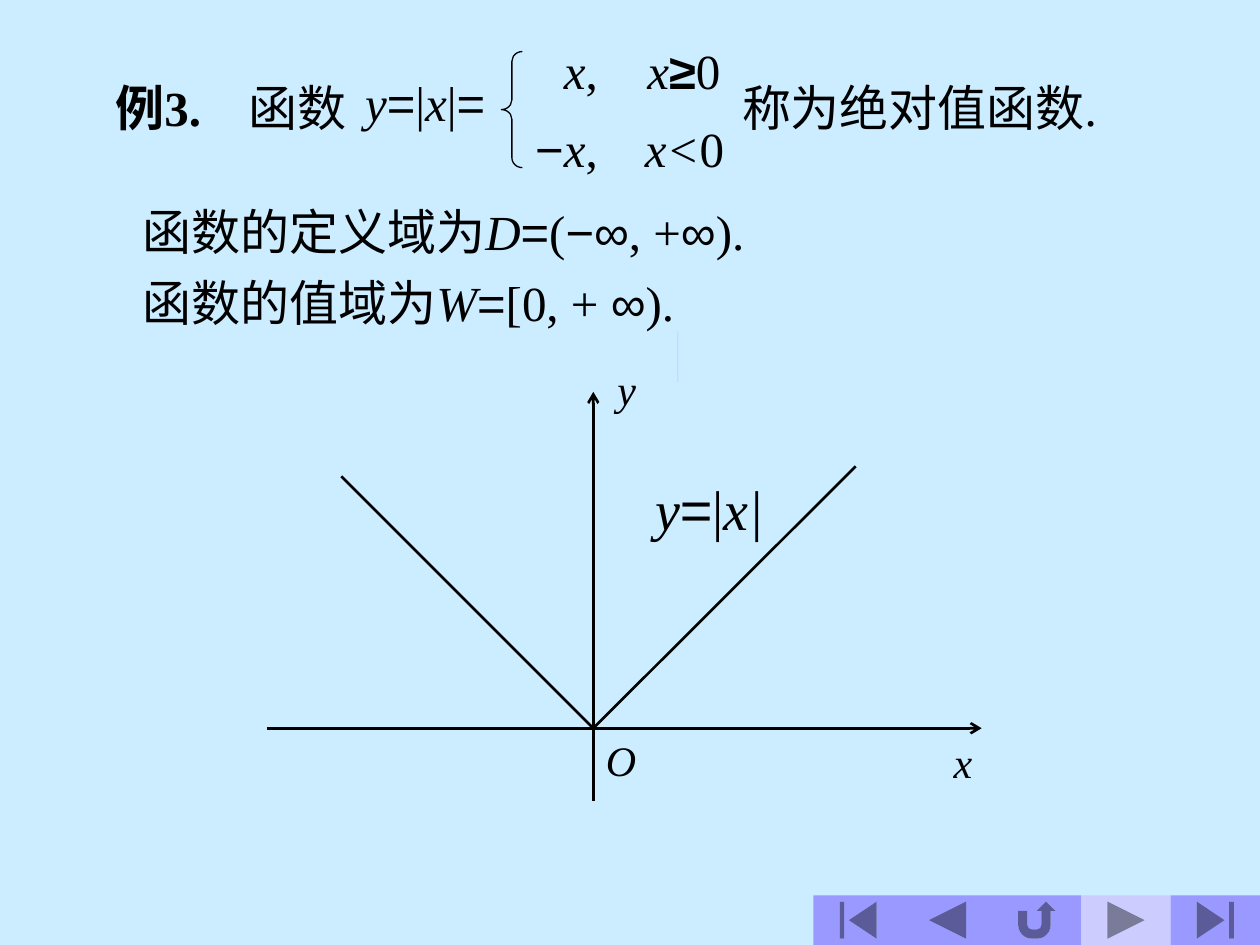
from dataclasses import dataclass

from lxml import etree
from pptx import Presentation
from pptx import util as u
from pptx.dml.color import RGBColor
from pptx.enum import shapes, text
from pptx.oxml.ns import qn

BACKGROUND = RGBColor(0xCC, 0xEC, 0xFF)
BLACK = RGBColor(0x00, 0x00, 0x00)
BUTTON = RGBColor(0x99, 0x99, 0xFF)
BUTTON_ACTIVE = RGBColor(0xCC, 0xCC, 0xFF)
RULE = RGBColor(0x99, 0xCC, 0xFF)
SERIF, SANS = "Times New Roman", "Arial"


@dataclass
class Run:
    text: str
    italic: bool = False
    bold: bool = False
    font: str = SERIF


@dataclass
class Line:
    runs: list[Run]
    spacing: float = 1.0
    before: float = 0
    tabs: tuple[float, ...] = ()


@dataclass
class Label:
    runs: list[Run]
    box: tuple[float, float, float, float]
    spacing: float
    size: float = 24


def var(name: str) -> Run:
    return Run(name, italic=True)


def sign(symbol: str, bold: bool = False) -> Run:
    return Run(symbol, bold=bold, font=SANS)


def add_text(slide, lines: list[Line], box, *, size=28, inset=True, wrap=True,
             align=text.PP_ALIGN.LEFT, anchor=text.MSO_ANCHOR.TOP):
    """Add a text box; box is left, top, width, height in centimetres."""
    frame = slide.shapes.add_textbox(*map(u.Cm, box)).text_frame
    frame.word_wrap = wrap
    frame.vertical_anchor = anchor
    if not inset:
        frame.margin_left = frame.margin_right = 0
        frame.margin_top = frame.margin_bottom = 0
    for index, line in enumerate(lines):
        paragraph = frame.add_paragraph() if index else frame.paragraphs[0]
        paragraph.alignment = align
        paragraph.line_spacing = line.spacing
        if line.before:
            paragraph.space_before = u.Pt(line.before)
        if line.tabs:
            tab_list = etree.SubElement(paragraph._p.get_or_add_pPr(), qn("a:tabLst"))
            for position in line.tabs:
                etree.SubElement(tab_list, qn("a:tab"), pos=str(int(u.Cm(position))), algn="l")
        for part in line.runs:
            run = paragraph.add_run()
            run.text = part.text
            run.font.name = part.font
            run.font.size = u.Pt(size)
            run.font.italic = part.italic
            run.font.bold = part.bold
            run.font.color.rgb = BLACK


def add_line(slide, start, end, arrow: bool = False):
    connector = slide.shapes.add_connector(
        shapes.MSO_CONNECTOR.STRAIGHT, *map(u.Cm, (*start, *end)))
    connector.line.color.rgb = BLACK
    connector.line.width = u.Pt(1.5)
    if arrow:
        etree.SubElement(connector.line._get_or_add_ln(), qn("a:tailEnd"), type="arrow")
    etree.SubElement(connector._element.spPr, qn("a:effectLst"))


def add_filled(slide, kind, box, color: RGBColor):
    shape = slide.shapes.add_shape(kind, *map(u.Cm, box))
    shape.shadow.inherit = False
    shape.fill.solid()
    shape.fill.fore_color.rgb = color
    shape.line.fill.background()


def add_navigation(slide):
    kind = shapes.MSO_SHAPE
    buttons = [kind.ACTION_BUTTON_BEGINNING, kind.ACTION_BUTTON_BACK_OR_PREVIOUS,
               kind.ACTION_BUTTON_RETURN, kind.ACTION_BUTTON_FORWARD_OR_NEXT,
               kind.ACTION_BUTTON_END]
    for index, button in enumerate(buttons):
        active = button == kind.ACTION_BUTTON_FORWARD_OR_NEXT
        add_filled(slide, button, (16.4 + 1.8 * index, 18.05, 1.8, 1),
                   BUTTON_ACTIVE if active else BUTTON)


def add_definition(slide):
    # Sentence around the braced cases
    add_text(slide, [Line([Run("\t例3.\t", bold=True), Run("函数")], tabs=(1.75, 4.44))],
             (0.58, 1.57, 6.73, 1.19), inset=False, wrap=False)
    add_text(slide, [Line([var("y"), sign("="), Run("|"), var("x"), Run("|"), sign("=")], 0.9)],
             (7.36, 1.6, 2.8, 1.07), inset=False, wrap=False)
    add_text(slide, [Line([Run("称为绝对值函数.")])],
             (14.96, 1.57, 7.39, 1.19), inset=False, wrap=False)

    # The two cases and their brace
    add_text(slide, [
        Line([var("\tx"), Run(",\t"), var("x"), sign("≥", bold=True), Run("0")],
             0.8, tabs=(1.42, 3.1)),
        Line([sign("\t−"), var("x"), Run(",\t"), var("x<"), Run("0")],
             0.7, before=20, tabs=(0.84, 3.05)),
    ], (9.7, 0.93, 8.69, 2.58))
    brace = slide.shapes.add_shape(shapes.MSO_SHAPE.LEFT_BRACE,
                                   *map(u.Cm, (10.11, 1.04, 0.42, 2.34)))
    brace.shadow.inherit = False
    brace.adjustments[0] = 0.47
    brace.fill.background()
    brace.line.color.rgb = BLACK
    brace.line.width = u.Pt(0.75)

    # Domain and range
    add_text(slide, [
        Line([Run("\t函数的定义域为"), var("D"), sign("="), Run("("), sign("−∞"),
              Run(", +"), sign("∞"), Run(").")], 1.2, tabs=(1.79,)),
        Line([Run("\t函数的值域为"), var("W"), sign("="), Run("[0, + "),
              sign("∞"), Run(").")], 1.2, tabs=(1.79,)),
    ], (0.84, 3.71, 23.7, 3.12), align=text.PP_ALIGN.JUSTIFY)


def add_graph(slide):
    origin_x, origin_y = origin = (11.96, 14.68)
    # Both branches, then the axes
    add_line(slide, origin, (17.25, 9.4))
    add_line(slide, origin, (6.88, 9.6))
    add_line(slide, (5.38, origin_y), (19.79, origin_y), arrow=True)
    add_line(slide, (origin_x, 16.15), (origin_x, 7.9), arrow=True)

    labels = [
        Label([var("y")], (12.19, 7.47, 0.89, 0.97), 0.7),
        Label([var("x")], (18.97, 15.09, 0.89, 0.86), 0.6),
        Label([var("O")], (11.96, 14.88, 1.12, 1.07), 0.8),
        Label([var("y"), sign("="), Run("|"), var("x|")], (12.83, 9.6, 2.95, 1.47), 0.9, 32),
    ]
    for label in labels:
        add_text(slide, [Line(label.runs, label.spacing)], label.box, size=label.size,
                 wrap=False, align=text.PP_ALIGN.CENTER, anchor=text.MSO_ANCHOR.MIDDLE)


def main():
    presentation = Presentation()
    presentation.slide_width, presentation.slide_height = u.Cm(25.4), u.Cm(19.05)
    slide = presentation.slides.add_slide(presentation.slide_layouts[6])
    slide.background.fill.solid()
    slide.background.fill.fore_color.rgb = BACKGROUND

    add_filled(slide, shapes.MSO_SHAPE.RECTANGLE, (13.66, 6.68, 0.01, 1.02), RULE)
    add_navigation(slide)
    add_definition(slide)
    add_graph(slide)
    presentation.save("out.pptx")


if __name__ == "__main__":
    main()
